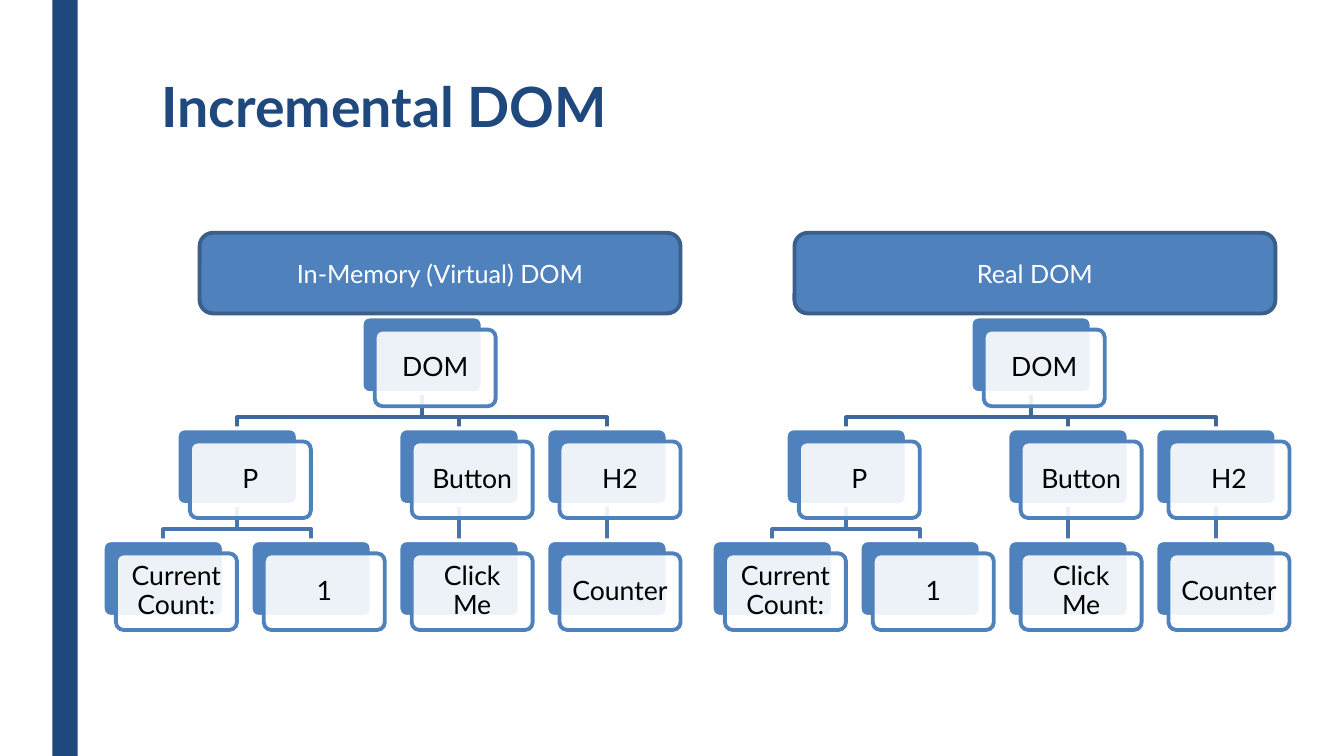
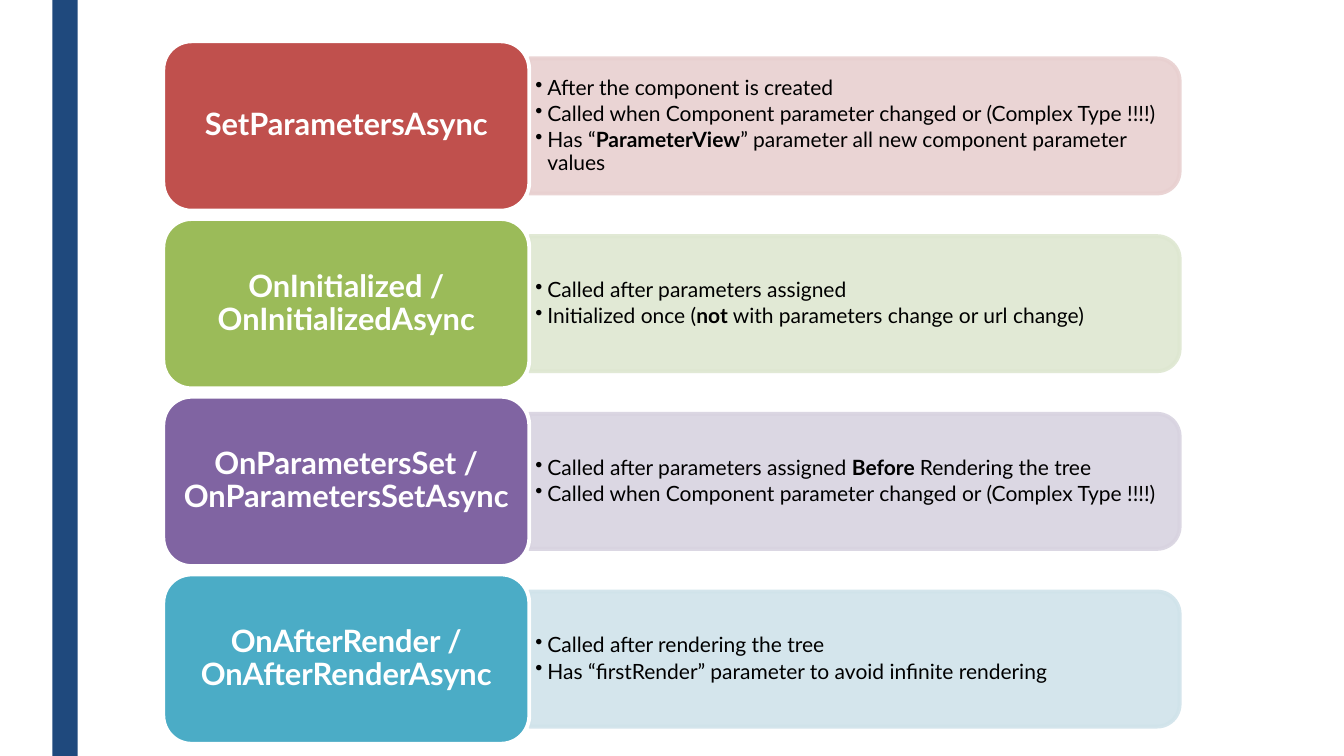
import dataclasses

import lxml.etree
import pptx
import pptx.dml.color
import pptx.enum.shapes
import pptx.enum.text
import pptx.oxml.ns
import pptx.shapes.autoshape
import pptx.slide
import pptx.text.text
import pptx.util

Inches = pptx.util.Inches
RGBColor = pptx.dml.color.RGBColor
SHAPES = pptx.enum.shapes.MSO_SHAPE
ALIGN = pptx.enum.text.PP_ALIGN
ANCHOR = pptx.enum.text.MSO_ANCHOR

FONT = "Lato"
NAVY = RGBColor(0x1F, 0x49, 0x7D)
BLUE = RGBColor(0x4F, 0x81, 0xBD)
HEADER_EDGE = RGBColor(0x3A, 0x5F, 0x8C)
BRANCH_COLORS = (RGBColor(0x3F, 0x67, 0x97), RGBColor(0x48, 0x75, 0xAC))
RED = RGBColor(0xC0, 0x50, 0x4D)
GREEN = RGBColor(0x9B, 0xBB, 0x59)
PURPLE = RGBColor(0x80, 0x64, 0xA2)
AQUA = RGBColor(0x4B, 0xAC, 0xC6)
PALE_RED = RGBColor(0xE8, 0xD0, 0xD0)
PALE_GREEN = RGBColor(0xDE, 0xE7, 0xD1)
PALE_PURPLE = RGBColor(0xD8, 0xD3, 0xE0)
PALE_AQUA = RGBColor(0xD0, 0xE3, 0xEA)
WHITE = RGBColor(0xFF, 0xFF, 0xFF)
BLACK = RGBColor(0x00, 0x00, 0x00)

LINE_WIDTH = pptx.util.Pt(2.75)
OPACITY = "90000"

NODE_WIDTH, NODE_HEIGHT = 1.2, 0.76
NODE_OFFSET = 0.13
TREE_TOP = 3.14
COLUMN_STEP = 4.4 / 3
LEVEL_STEP = 1.11
BEND = 0.24

CARD_LEFT, CARD_TOP = 1.62, 0.41
CARD_WIDTH, CARD_HEIGHT = 3.63, 1.68
CARD_STEP = 1.763
PANEL_WIDTH, PANEL_HEIGHT = 6.45, 1.34
NOTES_WIDTH, NOTES_HEIGHT = 6.38, 1.21


@dataclasses.dataclass
class Node:
    label: str
    column: float
    level: int
    children: tuple["Node", ...] = ()

    def walk(self) -> list["Node"]:
        return [self] + [node for child in self.children for node in child.walk()]

    def left(self, tree_left: float) -> float:
        return tree_left + self.column * COLUMN_STEP

    def top(self) -> float:
        return TREE_TOP + self.level * LEVEL_STEP


@dataclasses.dataclass(frozen=True)
class Tree:
    title: str
    title_left: float
    left: float


@dataclasses.dataclass(frozen=True)
class Stage:
    name: str
    color: RGBColor
    pale: RGBColor
    notes: tuple[str, ...]


def parent_of(label: str, *children: Node) -> Node:
    middle = (children[0].column + children[-1].column) / 2
    return Node(label, middle, children[0].level - 1, children)


DOM = parent_of(
    "DOM",
    parent_of("P", Node("Current Count:", 0, 2), Node("1", 1, 2)),
    parent_of("Button", Node("Click Me", 2, 2)),
    parent_of("H2", Node("Counter", 3, 2)),
)
TREES = (
    Tree("In-Memory (Virtual) DOM", 1.98, 1.02),
    Tree("Real DOM", 7.88, 7.06),
)
PARAMETER_CHANGE = "Called when Component parameter changed or (Complex Type !!!!)"
STAGES = (
    Stage("SetParametersAsync", RED, PALE_RED, (
        "After the component is created",
        PARAMETER_CHANGE,
        "Has “*ParameterView*” parameter all new component parameter values",
    )),
    Stage("OnInitialized / OnInitializedAsync", GREEN, PALE_GREEN, (
        "Called after parameters assigned",
        "Initialized once (*not* with parameters change or url change)",
    )),
    Stage("OnParametersSet / OnParametersSetAsync", PURPLE, PALE_PURPLE, (
        "Called after parameters assigned *Before *Rendering the tree",
        PARAMETER_CHANGE,
    )),
    Stage("OnAfterRender / OnAfterRenderAsync", AQUA, PALE_AQUA, (
        "Called after rendering the tree",
        "Has “firstRender” parameter to avoid infinite rendering",
    )),
)


def add_box(slide: pptx.slide.Slide, kind: SHAPES, left: float, top: float, width: float,
            height: float, fill: RGBColor,
            edge: RGBColor | None = None) -> pptx.shapes.autoshape.Shape:
    shape = slide.shapes.add_shape(kind, Inches(left), Inches(top), Inches(width), Inches(height))
    shape.shadow.inherit = False
    shape.fill.solid()
    shape.fill.fore_color.rgb = fill
    if edge is None:
        shape.line.fill.background()
    else:
        shape.line.color.rgb = edge
        shape.line.width = LINE_WIDTH
    return shape


def set_opacity(shape: pptx.shapes.autoshape.Shape, colors: str) -> None:
    for color in shape.element.spPr.xpath(colors):
        lxml.etree.SubElement(color, pptx.oxml.ns.qn("a:alpha"), val=OPACITY)


def set_insets(frame: pptx.text.text.TextFrame, side: float, end: float) -> None:
    frame.margin_left = frame.margin_right = Inches(side)
    frame.margin_top = frame.margin_bottom = Inches(end)


def style_paragraph(paragraph: pptx.text.text._Paragraph, size: float, color: RGBColor,
                    bold: bool | None = None) -> None:
    paragraph.font.name = FONT
    paragraph.font.size = pptx.util.Pt(size)
    paragraph.font.color.rgb = color
    paragraph.font.bold = bold


def write_centered(shape: pptx.shapes.autoshape.Shape, text: str, size: float, color: RGBColor,
                   spacing: float = 0.9, bold: bool = False) -> None:
    frame = shape.text_frame
    frame.word_wrap = True
    frame.vertical_anchor = ANCHOR.MIDDLE
    paragraph = frame.paragraphs[0]
    paragraph.text = text
    paragraph.alignment = ALIGN.CENTER
    paragraph.line_spacing = spacing
    style_paragraph(paragraph, size, color, bold)


def write_bullet(paragraph: pptx.text.text._Paragraph, text: str) -> None:
    for index, part in enumerate(text.split("*")):
        run = paragraph.add_run()
        run.text = part
        if index % 2:
            run.font.bold = True
    paragraph.line_spacing = 0.9
    paragraph.space_after = pptx.util.Pt(2.5)
    properties = paragraph._p.get_or_add_pPr()
    properties.set("marL", str(Inches(0.12)))
    properties.set("indent", str(Inches(-0.12)))
    lxml.etree.SubElement(properties, pptx.oxml.ns.qn("a:buChar"), char="•")
    style_paragraph(paragraph, 15, BLACK)


def add_slide(presentation: pptx.presentation.Presentation) -> pptx.slide.Slide:
    slide = presentation.slides.add_slide(presentation.slide_layouts[6])
    add_box(slide, SHAPES.RECTANGLE, 0.52, 0, 0.25, 7.5, NAVY)
    return slide


def add_title(slide: pptx.slide.Slide, text: str) -> None:
    title = slide.shapes.add_textbox(Inches(1.5), Inches(0.75), Inches(10.5), Inches(0.87))
    title.text_frame.word_wrap = True
    paragraph = title.text_frame.paragraphs[0]
    paragraph.text = text
    paragraph.line_spacing = 0.89
    style_paragraph(paragraph, 39.6, NAVY, True)


def add_branch(slide: pptx.slide.Slide, parent: Node, child: Node,
               tree_left: float) -> pptx.shapes.connector.Connector | None:
    start_x = Inches(parent.left(tree_left) + NODE_WIDTH / 2)
    end_x = Inches(child.left(tree_left) + NODE_WIDTH / 2)
    start_y = Inches(parent.top() + NODE_HEIGHT)
    bend_y = start_y + Inches(BEND)
    end_y = Inches(child.top())
    straight = parent.column == child.column
    if straight:
        branch = slide.shapes.add_connector(
            pptx.enum.shapes.MSO_CONNECTOR.STRAIGHT, start_x, start_y, end_x, end_y)
        lxml.etree.SubElement(branch.element.spPr, pptx.oxml.ns.qn("a:effectLst"))
    else:
        builder = slide.shapes.build_freeform(start_x, start_y)
        builder.add_line_segments(
            [(start_x, bend_y), (end_x, bend_y), (end_x, end_y)], close=False)
        branch = builder.convert_to_shape()
        branch.shadow.inherit = False
        branch.fill.background()
    branch.line.color.rgb = BRANCH_COLORS[parent.level]
    branch.line.width = LINE_WIDTH
    return branch if straight else None


def add_node(slide: pptx.slide.Slide, node: Node,
             tree_left: float) -> pptx.shapes.autoshape.Shape:
    left, top = node.left(tree_left), node.top()
    back = add_box(slide, SHAPES.ROUNDED_RECTANGLE, left, top,
                   NODE_WIDTH, NODE_HEIGHT, BLUE, WHITE)
    front = add_box(slide, SHAPES.ROUNDED_RECTANGLE, left + NODE_OFFSET, top + NODE_OFFSET,
                    NODE_WIDTH, NODE_HEIGHT, WHITE, BLUE)
    back.adjustments[0] = front.adjustments[0] = 0.1
    set_opacity(front, "a:solidFill/a:srgbClr")
    set_insets(front.text_frame, 0.08, 0.08)
    write_centered(front, node.label, 19, BLACK)
    return back


def add_tree(slide: pptx.slide.Slide, tree: Tree) -> None:
    nodes = DOM.walk()
    branches = [(add_branch(slide, parent, child, tree.left), parent, child)
                for parent in nodes for child in parent.children]
    boxes = {node.label: add_node(slide, node, tree.left) for node in nodes}
    for connector, parent, child in branches:
        if connector is not None:
            connector.begin_connect(boxes[parent.label], 2)
            connector.end_connect(boxes[child.label], 0)
    header = add_box(slide, SHAPES.ROUNDED_RECTANGLE, tree.title_left, 2.31, 4.77, 0.8,
                     BLUE, HEADER_EDGE)
    write_centered(header, tree.title, 18, WHITE, spacing=1.0)


def add_stage(slide: pptx.slide.Slide, stage: Stage, top: float) -> None:
    panel_left = CARD_LEFT + CARD_WIDTH
    middle_x = panel_left + PANEL_WIDTH / 2
    middle_y = top + CARD_HEIGHT / 2
    panel = add_box(slide, SHAPES.ROUND_2_SAME_RECTANGLE, middle_x - PANEL_HEIGHT / 2,
                    middle_y - PANEL_WIDTH / 2, PANEL_HEIGHT, PANEL_WIDTH,
                    stage.pale, stage.pale)
    panel.rotation = 90
    set_opacity(panel, ".//a:srgbClr")

    notes = slide.shapes.add_textbox(Inches(panel_left), Inches(middle_y - NOTES_HEIGHT / 2),
                                     Inches(NOTES_WIDTH), Inches(NOTES_HEIGHT))
    frame = notes.text_frame
    frame.word_wrap = True
    frame.vertical_anchor = ANCHOR.MIDDLE
    set_insets(frame, 0.06, 0.03)
    for index, note in enumerate(stage.notes):
        write_bullet(frame.add_paragraph() if index else frame.paragraphs[0], note)

    card = add_box(slide, SHAPES.ROUNDED_RECTANGLE, CARD_LEFT, top, CARD_WIDTH, CARD_HEIGHT,
                   stage.color, WHITE)
    set_insets(card.text_frame, 0.09, 0.05)
    write_centered(card, stage.name, 22, WHITE, bold=True)


def main() -> None:
    presentation = pptx.Presentation()
    presentation.slide_width = Inches(13.33)
    presentation.slide_height = Inches(7.5)

    dom_slide = add_slide(presentation)
    add_title(dom_slide, "Incremental DOM")
    for tree in TREES:
        add_tree(dom_slide, tree)

    lifecycle_slide = add_slide(presentation)
    for index, stage in enumerate(STAGES):
        add_stage(lifecycle_slide, stage, CARD_TOP + index * CARD_STEP)

    presentation.save("out.pptx")


if __name__ == "__main__":
    main()
